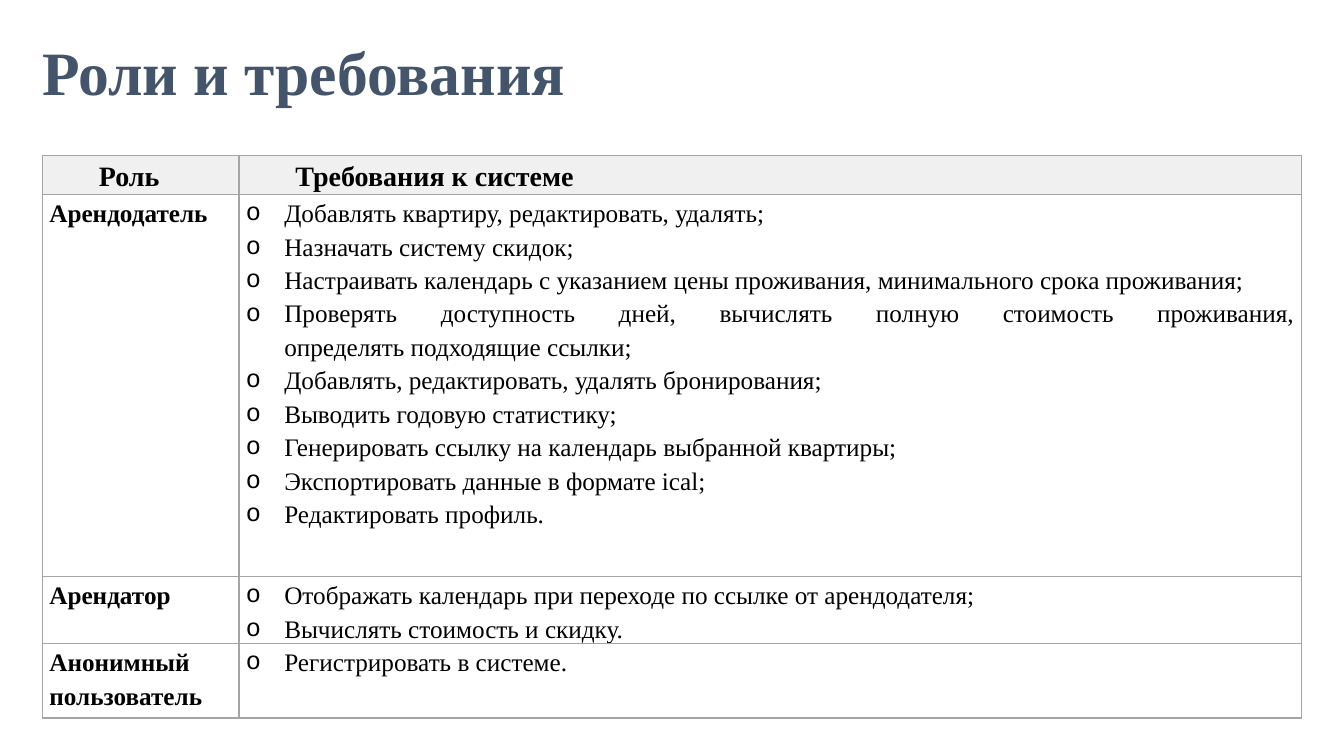
from dataclasses import dataclass

import pptx
import pptx.dml.color
import pptx.enum.text
import pptx.oxml
import pptx.oxml.ns
import pptx.util
from pptx.dml.color import RGBColor
from pptx.util import Inches

FONT = "Times New Roman"
SLATE = RGBColor(0x44, 0x54, 0x6A)
BLACK = RGBColor(0x00, 0x00, 0x00)
WHITE = RGBColor(0xFF, 0xFF, 0xFF)
LIGHT_GRAY = RGBColor(0xF0, 0xF0, 0xF0)
BORDER_GRAY = RGBColor(0xA5, 0xA5, 0xA5)
NS = pptx.oxml.ns.nsdecls("a")


@dataclass
class Role:
    name: str
    requirements: list[str]
    height: float


@dataclass
class CellStyle:
    size: int = 18
    bold: bool = False
    fill: RGBColor = WHITE
    margin: float = 0
    indent: float = 0
    bullet: str = ""


HEADER = CellStyle(size=20, bold=True, fill=LIGHT_GRAY, indent=0.49)
ROLE_NAME = CellStyle(bold=True)
REQUIREMENT = CellStyle(margin=0.38, indent=-0.38, bullet="o")

HEADINGS = ["Роль", "Требования к системе"]
HEADER_HEIGHT = 0.39
COLUMN_WIDTHS = [1.95, 10.54]
ROLES = [
    Role("Арендодатель", [
        "Добавлять квартиру, редактировать, удалять;",
        "Назначать систему скидок;",
        "Настраивать календарь с указанием цены проживания, минимального срока проживания;",
        "Проверять доступность дней, вычислять полную стоимость проживания,\vопределять подходящие ссылки;",
        "Добавлять, редактировать, удалять бронирования;",
        "Выводить годовую статистику;",
        "Генерировать ссылку на календарь выбранной квартиры;",
        "Экспортировать данные в формате ical;",
        "Редактировать профиль.",
    ], 3.79),
    Role("Арендатор", [
        "Отображать календарь при переходе по ссылке от арендодателя;",
        "Вычислять стоимость и скидку.",
    ], 0.66),
    Role("Анонимный пользователь", ["Регистрировать в системе."], 0.74),
]


def format_runs(p, size: int, bold: bool, color: RGBColor) -> None:
    for r in p.runs:
        r.font.name = FONT
        r.font.size = pptx.util.Pt(size)
        r.font.bold = bold
        r.font.color.rgb = color


def add_borders(cell) -> None:
    tc_pr = cell._tc.get_or_add_tcPr()
    for side in "LRTB":
        tc_pr.append(pptx.oxml.parse_xml(
            f'<a:ln{side} {NS} w="12700"><a:solidFill>'
            f'<a:srgbClr val="{BORDER_GRAY}"/></a:solidFill></a:ln{side}>'))


def fill_cell(cell, lines: list[str], style: CellStyle) -> None:
    cell.margin_left = cell.margin_right = Inches(0.07)
    cell.margin_top = cell.margin_bottom = 0
    add_borders(cell)
    cell.fill.solid()
    cell.fill.fore_color.rgb = style.fill
    tf = cell.text_frame
    tf.text = "\n".join(lines)
    for p in tf.paragraphs:
        p.alignment = pptx.enum.text.PP_ALIGN.JUSTIFY
        p.line_spacing = 1.2
        p_pr = p._p.get_or_add_pPr()
        p_pr.set("marL", str(Inches(style.margin)))
        p_pr.set("indent", str(Inches(style.indent)))
        if style.bullet:
            p_pr.append(pptx.oxml.parse_xml(f'<a:buFont {NS} typeface="Courier New"/>'))
            p_pr.append(pptx.oxml.parse_xml(f'<a:buChar {NS} char="{style.bullet}"/>'))
        format_runs(p, style.size, style.bold, BLACK)


def add_title(s, text: str) -> None:
    sp = s.shapes.add_textbox(Inches(0.32), Inches(0.31), Inches(12.7), Inches(0.88))
    tf = sp.text_frame
    tf.word_wrap = True
    tf.vertical_anchor = pptx.enum.text.MSO_ANCHOR.MIDDLE
    tf.text = text
    p = tf.paragraphs[0]
    p.line_spacing = 0.9
    format_runs(p, 44, True, SLATE)


def add_roles_table(s, roles: list[Role]) -> None:
    heights = [HEADER_HEIGHT] + [role.height for role in roles]
    table = s.shapes.add_table(
        len(heights), len(COLUMN_WIDTHS), Inches(0.42), Inches(1.54),
        Inches(sum(COLUMN_WIDTHS)), Inches(sum(heights))).table
    table.first_row = False
    table.horz_banding = False
    for column, width in zip(table.columns, COLUMN_WIDTHS):
        column.width = Inches(width)
    for row, height in zip(table.rows, heights):
        row.height = Inches(height)
    for i, heading in enumerate(HEADINGS):
        fill_cell(table.cell(0, i), [heading], HEADER)
    for i, role in enumerate(roles, 1):
        fill_cell(table.cell(i, 0), [role.name], ROLE_NAME)
        fill_cell(table.cell(i, 1), role.requirements, REQUIREMENT)


def main() -> None:
    prs = pptx.Presentation()
    prs.slide_width = Inches(13.33)
    prs.slide_height = Inches(7.5)
    s = prs.slides.add_slide(prs.slide_layouts[6])
    add_roles_table(s, ROLES)
    add_title(s, "Роли и требования")
    prs.save("out.pptx")


if __name__ == "__main__":
    main()
